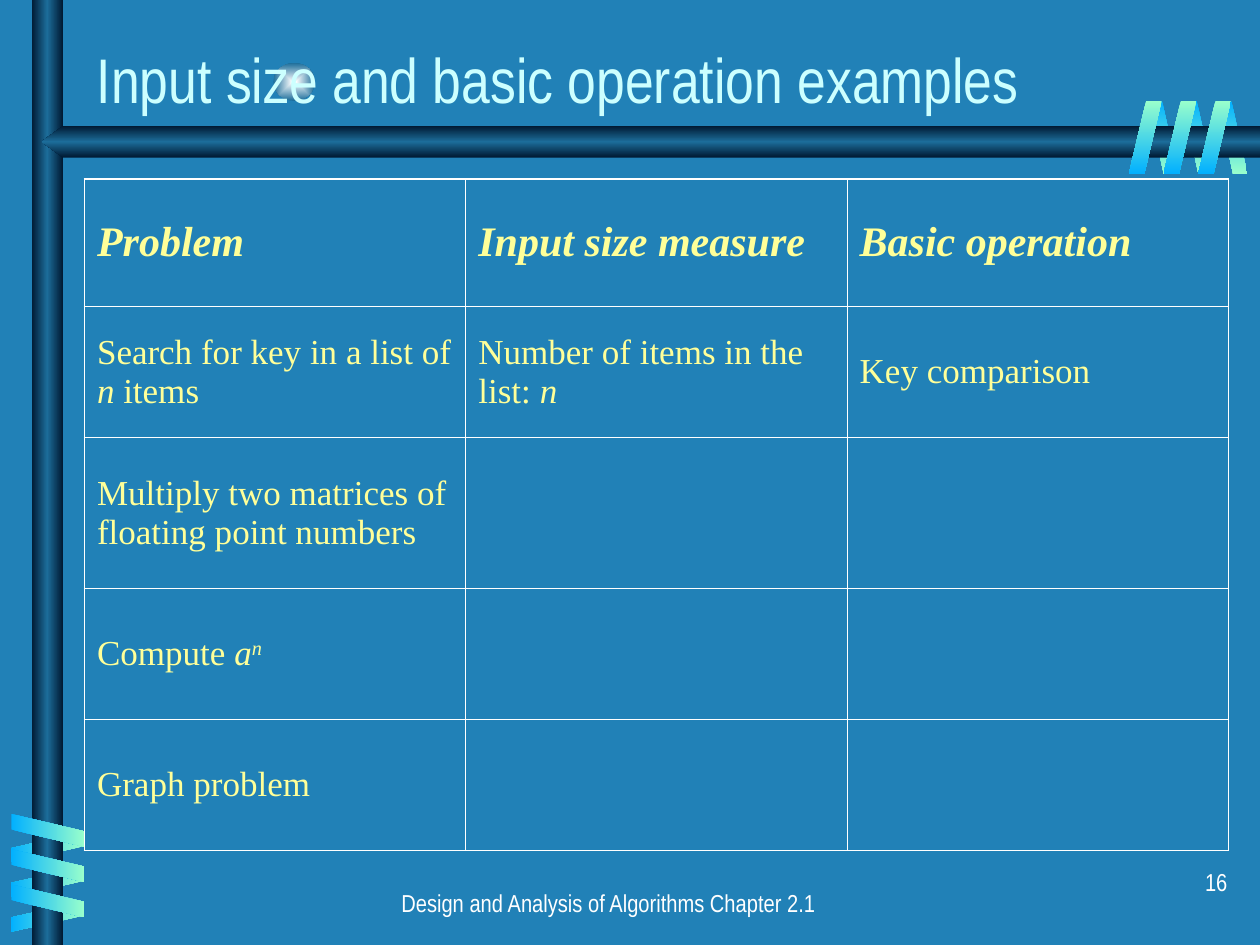
from lxml import etree
from pptx import Presentation
from pptx import util as u
from pptx.dml.color import RGBColor
from pptx.enum import shapes, text
from pptx.oxml import parse_xml
from pptx.oxml.ns import nsdecls, qn

I = u.Inches
MINT, SKY, NAVY, STEEL = "99FFCC", "01B0FF", "001932", "1C6D9A"
WHITE, YELLOW = "FFFFFF", "FFFF99"
BAR = [NAVY, STEEL, NAVY]
NARROW = {"name": "Arial Narrow", "size": u.Pt(14)}
HEAD = {"name": "Times New Roman", "size": u.Pt(24), "bold": True, "italic": True}
BODY = {"name": "Times New Roman", "size": u.Pt(20), "bold": False, "italic": False}
ITALIC = {**BODY, "italic": True}

# Each cell is a list of (text, format, baseline) runs
HEADINGS = ["Problem", "Input size measure", "Basic operation"]
ROWS = [
    [[(h, HEAD, 0)] for h in HEADINGS],
    [[("Search for key in a list of ", BODY, 0), ("n", ITALIC, 0), (" items", BODY, 0)],
     [("Number of items in the list: ", BODY, 0), ("n", ITALIC, 0)],
     [("Key comparison", BODY, 0)]],
    [[("Multiply two matrices of floating point numbers", BODY, 0)], [], []],
    [[("Compute ", BODY, 0), ("a", ITALIC, 0), ("n", ITALIC, 30000)], [], []],
    [[("Graph problem", BODY, 0)], [], []],
]
ROW_HEIGHTS = [1.01, 1.04, 1.2, 1.04, 1.04]


def rgb(value):
    return RGBColor.from_string(value)


def add_run(p, words, fmt, color, baseline=0):
    r = p.add_run()
    r.text = words
    for key, value in fmt.items():
        setattr(r.font, key, value)
    r.font.color.rgb = rgb(color)
    if baseline:
        r.font._element.set("baseline", str(baseline))


def paint(sp, colors, angle=None):
    """Evenly spaced gradient: linear at an angle, or from the centre."""
    sp.shadow.inherit = False
    sp.line.fill.background()
    stops = "".join(
        f'<a:gs pos="{100000 * i // (len(colors) - 1)}"><a:srgbClr val="{c}"/></a:gs>'
        for i, c in enumerate(colors))
    if angle is None:
        shade = ('<a:path path="rect"><a:fillToRect l="50000" t="50000" '
                 'r="50000" b="50000"/></a:path>')
    else:
        shade = f'<a:lin ang="{angle * 60000}" scaled="0"/>'
    grad = parse_xml(f'<a:gradFill rotWithShape="0" {nsdecls("a")}>'
                     f'<a:gsLst>{stops}</a:gsLst>{shade}</a:gradFill>')
    sp._element.spPr.find(qn("a:prstGeom" if sp._element.spPr.find(
        qn("a:prstGeom")) is not None else "a:custGeom")).addnext(grad)


def add_ribbons(s, box, step, colors, angle, rotation=0, flip=False):
    """Three slanted strips, each moved by the step from the one before."""
    x, y, w, h = box
    for i in range(3):
        sp = s.shapes.add_shape(shapes.MSO_SHAPE.PARALLELOGRAM,
                                I(x + i * step[0]), I(y + i * step[1]), I(w), I(h))
        sp.adjustments[0] = 0.53
        sp.rotation = rotation
        if flip:
            sp._element.spPr.xfrm.set("flipH", "1")
        paint(sp, colors, angle)


def add_bars(s, x, y, thick, width, height):
    """Upright bar, and a pointed bar that meets it."""
    post = s.shapes.add_shape(shapes.MSO_SHAPE.RECTANGLE, I(x), 0, I(thick), I(height))
    paint(post, BAR, 0)
    tip, neck = x + 0.08, x + thick
    fb = s.shapes.build_freeform(I(width), I(y), scale=1.0)
    fb.add_line_segments([(I(neck), I(y)), (I(tip), I(y + thick / 2)),
                          (I(neck), I(y + thick)), (I(width), I(y + thick))])
    paint(fb.convert_to_shape(), BAR, 90)


def add_decoration(s, width, height):
    glow = s.shapes.add_shape(shapes.MSO_SHAPE.OVAL, I(2.17), I(0.5), I(0.33), I(0.3))
    paint(glow, ["FEFFFF", STEEL])
    # Strips behind the bars
    add_ribbons(s, (9.66, 0.8, 0.24, 0.58), (-0.275, 0), [SKY, MINT], 90, 180, True)
    add_ribbons(s, (0.25, 6.44, 0.24, 0.57), (0, 0.275), [MINT, SKY], 0, 90, True)
    add_bars(s, 0.25, 1, 0.25, width, height)
    # Strips in front of the bars
    add_ribbons(s, (0.25, 6.3, 0.26, 0.58), (0, 0.28), [SKY, MINT], 0, 270)
    add_ribbons(s, (9.51, 0.8, 0.26, 0.58), (-0.275, 0), [MINT, SKY], 90)


def add_label(s, box, words, fmt, color, align, anchor=text.MSO_ANCHOR.TOP):
    tf = s.shapes.add_textbox(*map(I, box)).text_frame
    tf.word_wrap = True
    tf.vertical_anchor = anchor
    p = tf.paragraphs[0]
    p.alignment = align
    add_run(p, words, fmt, color)


def set_borders(cell, outer):
    """Thick lines on the outer sides, thin lines on the others."""
    tcPr = cell._tc.get_or_add_tcPr()
    for side in "LRTB":
        ln = etree.SubElement(tcPr, qn(f"a:ln{side}"),
                              w=str(u.Pt(1.08 if side in outer else 0.45)))
        fill = etree.SubElement(ln, qn("a:solidFill"))
        etree.SubElement(fill, qn("a:srgbClr"), val=WHITE)


def add_examples(s, x, y, w, h):
    last_row, last_col = len(ROWS) - 1, len(HEADINGS) - 1
    table = s.shapes.add_table(len(ROWS), len(HEADINGS), I(x), I(y), I(w), I(h)).table
    table.first_row = table.horz_banding = False
    for col in table.columns:
        col.width = I(w / len(HEADINGS))
    for i, (row, height) in enumerate(zip(ROWS, ROW_HEIGHTS)):
        table.rows[i].height = I(height)
        for j, runs in enumerate(row):
            cell = table.cell(i, j)
            cell.vertical_anchor = text.MSO_ANCHOR.MIDDLE
            outer = [side for side, on_edge in zip(
                "LRTB", (j == 0, j == last_col, i == 0, i == last_row)) if on_edge]
            set_borders(cell, outer)
            cell.fill.background()
            for words, fmt, baseline in runs:
                add_run(cell.text_frame.paragraphs[0], words, fmt, YELLOW, baseline)


def main():
    prs = Presentation()
    prs.slide_width, prs.slide_height = I(10), I(7.5)
    s = prs.slides.add_slide(prs.slide_layouts[6])
    s.background.fill.solid()
    s.background.fill.fore_color.rgb = rgb("2181B7")
    add_decoration(s, 10, 7.5)
    # Footer and slide number
    add_label(s, (1.33, 7, 7, 0.5), "Design and Analysis of Algorithms Chapter 2.1",
              NARROW, WHITE, text.PP_ALIGN.CENTER)
    add_label(s, (7.76, 6.83, 2.08, 0.5), "16", NARROW, WHITE, text.PP_ALIGN.RIGHT)
    # Title
    add_label(s, (0.67, 0.22, 9.33, 0.75), "Input size and basic operation examples",
              {**NARROW, "size": u.Pt(36)}, "CCFFFF", text.PP_ALIGN.LEFT,
              text.MSO_ANCHOR.BOTTOM)
    add_examples(s, 0.67, 1.42, 9.08, sum(ROW_HEIGHTS))
    prs.save("out.pptx")


if __name__ == "__main__":
    main()
